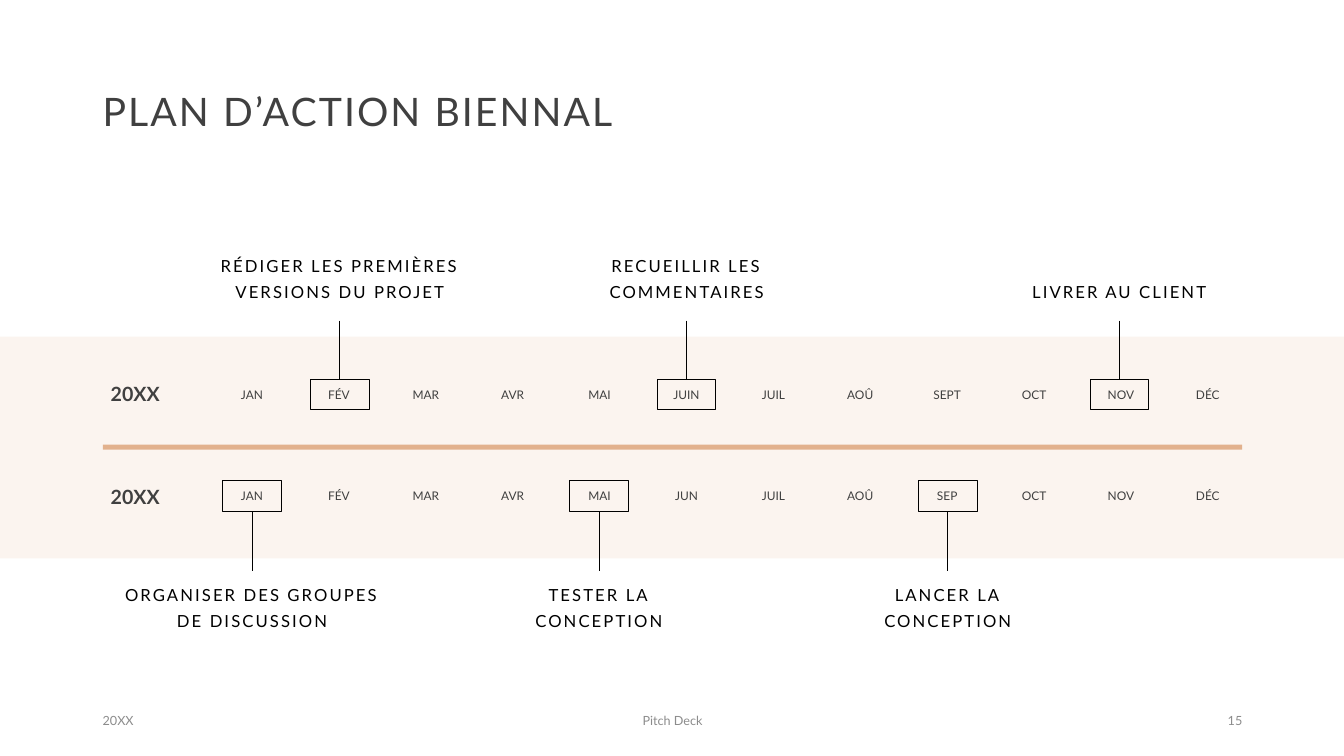
from lxml.etree import SubElement
from pptx import Presentation
from pptx.dml.color import RGBColor
from pptx.enum.shapes import MSO_CONNECTOR as Connector, MSO_SHAPE as Shape
from pptx.enum.text import MSO_ANCHOR as Anchor, PP_ALIGN as Align
from pptx.oxml.ns import qn
from pptx.util import Inches, Pt

BLACK = RGBColor(0x00, 0x00, 0x00)
CHARCOAL = RGBColor(0x40, 0x40, 0x40)
GREY = RGBColor(0x8C, 0x8C, 0x8C)
CREAM = RGBColor(0xFB, 0xF4, 0xEF)
PEACH = RGBColor(0xE2, 0xB1, 0x8D)

STYLES = {
    "title": {"font": {"size": Pt(28)}, "color": CHARCOAL, "spacing": 150,
              "paragraph": {"line_spacing": 0.9}},
    "year": {"font": {"size": Pt(14), "bold": True}, "color": CHARCOAL,
             "paragraph": {"line_spacing": 0.9, "space_before": Pt(10)}},
    "month": {"font": {"size": Pt(8.5)}, "color": CHARCOAL,
              "paragraph": {"line_spacing": 0.7, "space_before": Pt(10),
                            "alignment": Align.CENTER}},
    "milestone": {"font": {"size": Pt(11.9)}, "color": BLACK, "spacing": 150,
                  "paragraph": {"line_spacing": 1.3, "space_before": Pt(10),
                                "alignment": Align.CENTER}},
    "footer": {"font": {"size": Pt(9)}, "color": GREY, "paragraph": {}},
}

FIRST_MONTH_CENTER = 2.5
MONTH_STEP = 9.48 / 11
MONTH_WIDTH = 0.7
MARKER_WIDTH, MARKER_HEIGHT = 0.58, 0.3
LABEL_HEIGHT = 0.61

YEARS = [
    {"year_top": 3.67, "month_top": 3.83, "marker_top": 3.76,
     "line_end": 3.18, "label_top": 2.43, "anchor": Anchor.BOTTOM, "side": 0,
     "months": "JAN FÉV MAR AVR MAI JUIN JUIL AOÛ SEPT OCT NOV DÉC",
     "milestones": [(3.37, 2.91, "RÉDIGER LES PREMIÈRES VERSIONS DU PROJET"),
                    (6.81, 2.25, "RECUEILLIR LES COMMENTAIRES"),
                    (11.1, 2.25, "LIVRER AU CLIENT")]},
    {"year_top": 4.69, "month_top": 4.84, "marker_top": 4.77,
     "line_end": 5.66, "label_top": 5.69, "anchor": Anchor.TOP, "side": 2,
     "months": "JAN FÉV MAR AVR MAI JUN JUIL AOÛ SEP OCT NOV DÉC",
     "milestones": [(2.5, 2.74, "ORGANISER DES GROUPES DE DISCUSSION"),
                    (5.94, 2.25, "TESTER LA CONCEPTION"),
                    (9.4, 2.25, "LANCER LA CONCEPTION")]},
]

FOOTERS = [(0.92, 3, "20XX", Align.LEFT),
           (4.42, 4.5, "Pitch Deck", Align.CENTER),
           (9.42, 3, "15", Align.RIGHT)]


def apply_format(target, values):
    for name, value in values.items():
        setattr(target, name, value)


class TimelineSlide:
    font_name = "Lato"
    line_width = Pt(0.5)

    def __init__(self, presentation):
        self.slide = presentation.slides.add_slide(presentation.slide_layouts[6])

    def text(self, left, top, width, height, content, style_name,
             anchor=Anchor.MIDDLE, **paragraph_format):
        style = STYLES[style_name]
        box = self.slide.shapes.add_textbox(
            Inches(left), Inches(top), Inches(width), Inches(height))
        apply_format(box.text_frame, {"word_wrap": True, "vertical_anchor": anchor})
        paragraph = box.text_frame.paragraphs[0]
        apply_format(paragraph, style["paragraph"] | paragraph_format)
        run = paragraph.add_run()
        run.text = content
        apply_format(run.font, {"name": self.font_name, **style["font"]})
        run.font.color.rgb = style["color"]
        if "spacing" in style:
            run.font._element.set("spc", str(style["spacing"]))

    def rectangle(self, left, top, width, height, fill=None, line=None):
        shape = self.slide.shapes.add_shape(
            Shape.RECTANGLE, Inches(left), Inches(top), Inches(width), Inches(height))
        shape.shadow.inherit = False
        if fill is None:
            shape.fill.background()
        else:
            shape.fill.solid()
            shape.fill.fore_color.rgb = fill
        if line is None:
            shape.line.fill.background()
        else:
            shape.line.color.rgb = line
            shape.line.width = self.line_width
        return shape

    def leader(self, center, end, marker, side):
        connector = self.slide.shapes.add_connector(
            Connector.STRAIGHT, Inches(center), Inches(end),
            Inches(center), marker.top)
        connector.end_connect(marker, side)
        connector.line.color.rgb = BLACK
        connector.line.width = self.line_width
        SubElement(connector._element.spPr, qn("a:effectLst"))

    def milestone(self, year, center, label_width, label):
        marker = self.rectangle(center - MARKER_WIDTH / 2, year["marker_top"],
                                MARKER_WIDTH, MARKER_HEIGHT, line=BLACK)
        self.leader(center, year["line_end"], marker, year["side"])
        self.text(center - label_width / 2, year["label_top"], label_width,
                  LABEL_HEIGHT, label, "milestone", year["anchor"])

    def year_row(self, year):
        self.text(1, year["year_top"], 0.8, 0.5, "20XX", "year")
        for index, month in enumerate(year["months"].split()):
            left = FIRST_MONTH_CENTER + index * MONTH_STEP - MONTH_WIDTH / 2
            self.text(left, year["month_top"], MONTH_WIDTH, 0.22, month,
                      "month", Anchor.TOP)
        for milestone in year["milestones"]:
            self.milestone(year, *milestone)


def main():
    presentation = Presentation()
    apply_format(presentation, {"slide_width": Inches(13.33),
                                "slide_height": Inches(7.5)})
    timeline = TimelineSlide(presentation)
    timeline.rectangle(0, 3.34, 13.33, 2.2, fill=CREAM)
    timeline.rectangle(1.02, 4.41, 11.3, 0.05, fill=PEACH)
    timeline.text(0.92, 0.4, 11.5, 1.45, "PLAN D’ACTION BIENNAL", "title")
    for year in YEARS:
        timeline.year_row(year)
    for left, width, content, alignment in FOOTERS:
        timeline.text(left, 6.95, width, 0.4, content, "footer", alignment=alignment)
    presentation.save("out.pptx")


if __name__ == "__main__":
    main()
